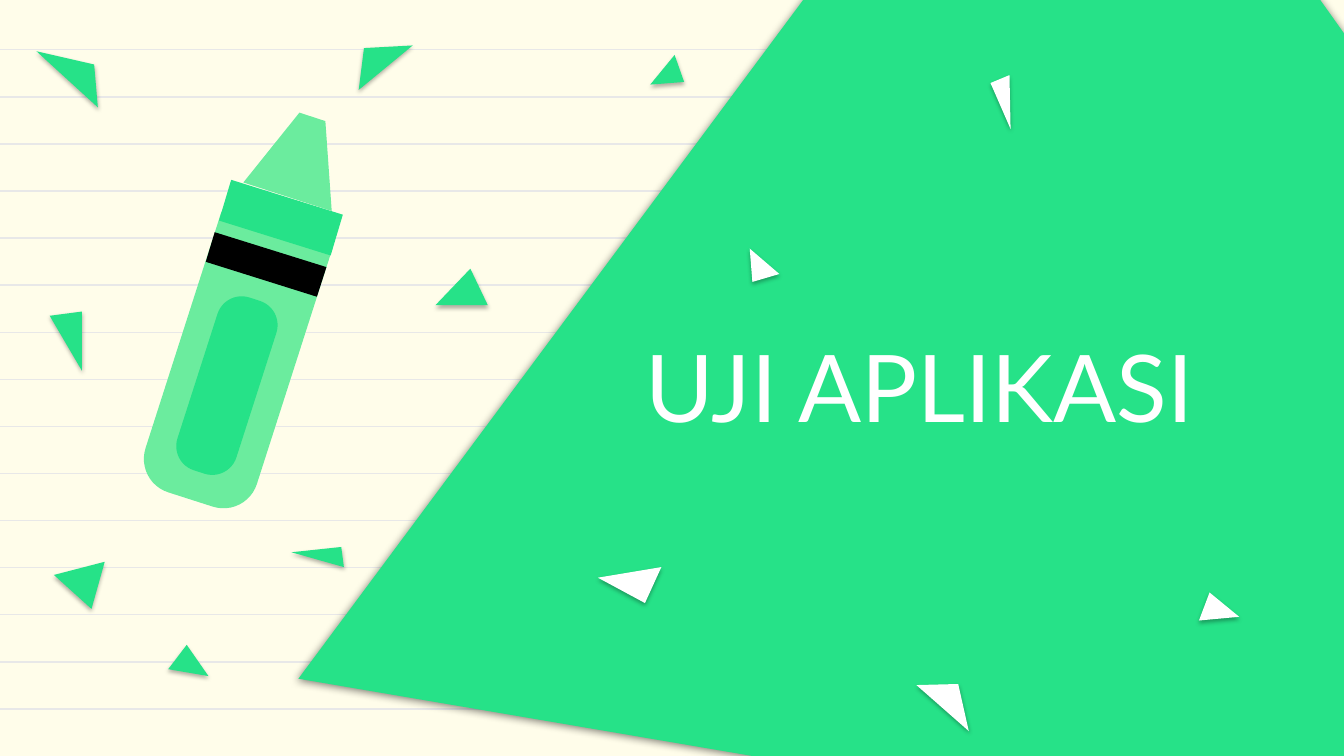
"""Build the title slide with a crayon, ruled paper and scattered confetti."""
from typing import NamedTuple, Optional

from lxml.etree import SubElement
from pptx import Presentation
from pptx.dml.color import RGBColor
from pptx.enum.shapes import MSO_CONNECTOR as Connector
from pptx.enum.shapes import MSO_SHAPE as Preset
from pptx.enum.text import MSO_ANCHOR as Anchor
from pptx.enum.text import PP_ALIGN as Align
from pptx.oxml.ns import qn
from pptx.util import Cm, Pt

GREEN, LIGHT_GREEN = "26E288", "6BEC9E"
BLACK, WHITE, PAPER, RULE = "000000", "FFFFFF", "FFFDEA", "E8E8E8"
WIDTH, HEIGHT = 25.4, 14.29
RULE_COUNT, RULE_TOP, RULE_GAP = 15, 0.94, 0.89
CRAYON_TILT = 17.8


class Shadow(NamedTuple):
    blur: float
    opacity: int


class Polygon(NamedTuple):
    points: tuple
    color: str
    shadow: Optional[Shadow] = None


class Barrel(NamedTuple):
    preset: Preset
    center: tuple
    size: tuple
    corners: tuple
    color: str


CONFETTI_SHADOW = Shadow(0.08, 30)
PANEL = Polygon(((20.17, -6.71), (5.64, 12.83), (38.02, 18.34)), GREEN, Shadow(0.16, 50))
BODY = Barrel(Preset.ROUND_2_SAME_RECTANGLE, (4.42, 6.89), (2.21, 5.36), (0, 0.3), LIGHT_GREEN)
LABEL = Barrel(Preset.ROUNDED_RECTANGLE, (4.29, 7.29), (1.17, 3.43), (0.41,), GREEN)
CAP = Polygon(((4.37, 3.4), (4.14, 4.17), (6.25, 4.83), (6.48, 4.06)), GREEN)
STRIPE = Polygon(((4.06, 4.39), (3.89, 4.95), (5.99, 5.61), (6.17, 5.05)), BLACK)
TIP = Polygon(((4.6, 3.45), (6.27, 3.99), (6.15, 2.29), (5.66, 2.13)), LIGHT_GREEN)

CONFETTI = {
    GREEN: (
        ((3.53, 12.19), (3.18, 12.65), (3.94, 12.78)),
        ((1.85, 2.03), (1.78, 1.22), (0.69, 0.97)),
        ((8.89, 5.08), (8.23, 5.77), (9.22, 5.77)),
        ((1.98, 10.62), (1.02, 10.87), (1.73, 11.51)),
        ((7.8, 0.86), (6.88, 0.91), (6.78, 1.7)),
        ((5.51, 10.44), (6.5, 10.72), (6.45, 10.34)),
        ((1.55, 7.01), (1.55, 5.89), (0.94, 5.97)),
        ((12.75, 1.04), (12.29, 1.6), (12.93, 1.55)),
    ),
    WHITE: (
        ((18.31, 13.82), (18.11, 12.93), (17.32, 12.95)),
        ((19.1, 2.44), (19.08, 1.42), (18.72, 1.57)),
        ((14.73, 5.18), (14.17, 4.7), (14.22, 5.33)),
        ((12.5, 10.72), (11.3, 10.92), (12.19, 11.4)),
        ((22.86, 11.2), (22.66, 11.73), (23.42, 11.66)),
    ),
}


def paint(fill, color: str) -> None:
    fill.solid()
    fill.fore_color.rgb = RGBColor.from_string(color)


def add_shadow(shape, shadow: Shadow) -> None:
    effects = shape._element.spPr.find(qn("a:effectLst"))
    outer = SubElement(effects, qn("a:outerShdw"), blurRad=str(Cm(shadow.blur)),
                       dist=str(Cm(0.05)), dir="5400000", algn="bl", rotWithShape="0")
    color = SubElement(outer, qn("a:srgbClr"), val=BLACK)
    SubElement(color, qn("a:alpha"), val=str(shadow.opacity * 1000))


def finish(shape, color: str) -> None:
    paint(shape.fill, color)
    shape.line.fill.background()
    shape.shadow.inherit = False


def draw_polygon(shapes, polygon: Polygon) -> None:
    start, *rest = [(Cm(x), Cm(y)) for x, y in polygon.points]
    builder = shapes.build_freeform(*start)
    builder.add_line_segments(rest, close=True)
    shape = builder.convert_to_shape()
    finish(shape, polygon.color)
    if polygon.shadow:
        add_shadow(shape, polygon.shadow)


def draw_barrel(shapes, barrel: Barrel) -> None:
    (x, y), (width, height) = barrel.center, barrel.size
    shape = shapes.add_shape(barrel.preset, Cm(x - width / 2), Cm(y - height / 2),
                             Cm(width), Cm(height))
    for index, corner in enumerate(barrel.corners):
        shape.adjustments[index] = corner
    shape.rotation = CRAYON_TILT
    finish(shape, barrel.color)


def draw_rule(shapes, y: float) -> None:
    rule = shapes.add_connector(Connector.STRAIGHT, Cm(0), Cm(y), Cm(WIDTH), Cm(y))
    paint(rule.line.fill, RULE)
    rule.line.width = Pt(0.75)
    SubElement(rule._element.spPr, qn("a:effectLst"))


def draw_title(shapes, text: str) -> None:
    frame = shapes.add_textbox(Cm(7.21), Cm(6.12), Cm(15.6), Cm(2.34)).text_frame
    frame.word_wrap = True
    frame.vertical_anchor = Anchor.MIDDLE
    frame.margin_left = frame.margin_right = Cm(0.25)
    frame.margin_top = frame.margin_bottom = Cm(0.25)
    frame.text = text
    paragraph = frame.paragraphs[0]
    paragraph.alignment = Align.RIGHT
    font = paragraph.runs[0].font
    font.name, font.size = "Lato", Pt(50)
    paint(font.fill, WHITE)


def main() -> None:
    presentation = Presentation()
    presentation.slide_width, presentation.slide_height = Cm(WIDTH), Cm(HEIGHT)
    slide = presentation.slides.add_slide(presentation.slide_layouts[6])
    paint(slide.background.fill, PAPER)
    for index in range(RULE_COUNT):
        draw_rule(slide.shapes, RULE_TOP + index * RULE_GAP)
    draw_polygon(slide.shapes, PANEL)
    draw_title(slide.shapes, "UJI APLIKASI")
    crayon = slide.shapes.add_group_shape().shapes
    for barrel in (BODY, LABEL):
        draw_barrel(crayon, barrel)
    for polygon in (CAP, STRIPE, TIP):
        draw_polygon(crayon, polygon)
    for color, triangles in CONFETTI.items():
        for points in triangles:
            draw_polygon(slide.shapes, Polygon(points, color, CONFETTI_SHADOW))
    presentation.save("out.pptx")


if __name__ == "__main__":
    main()
